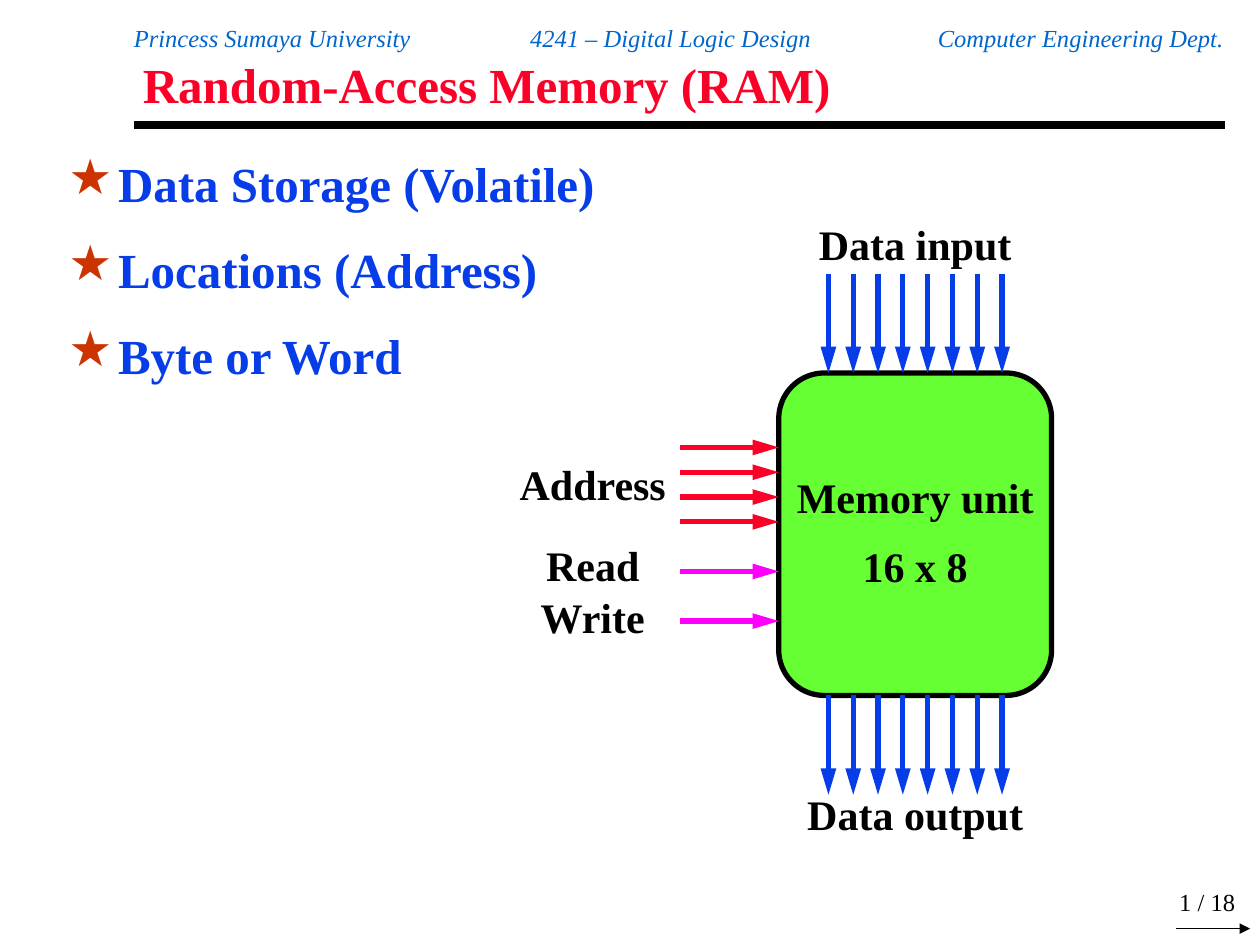
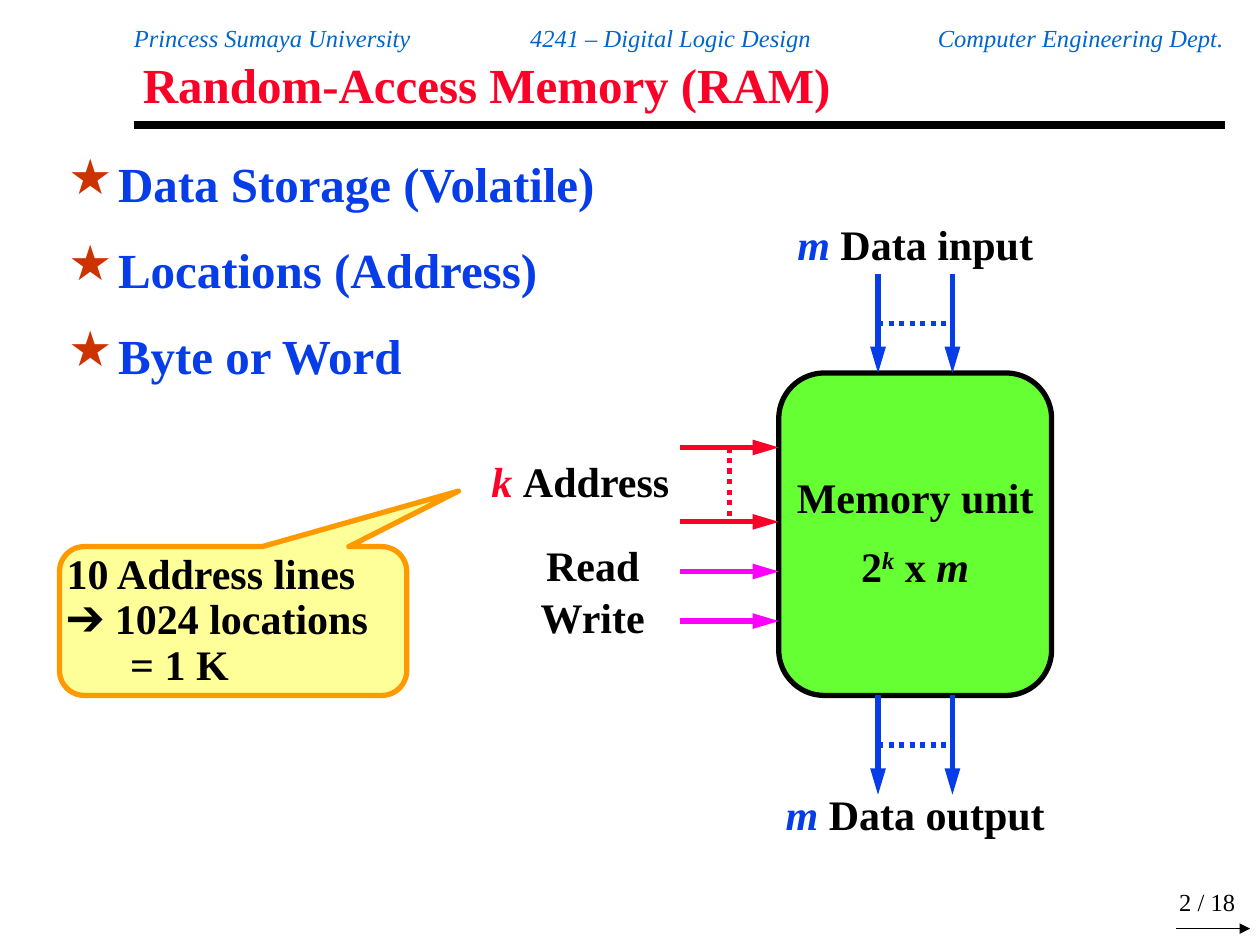
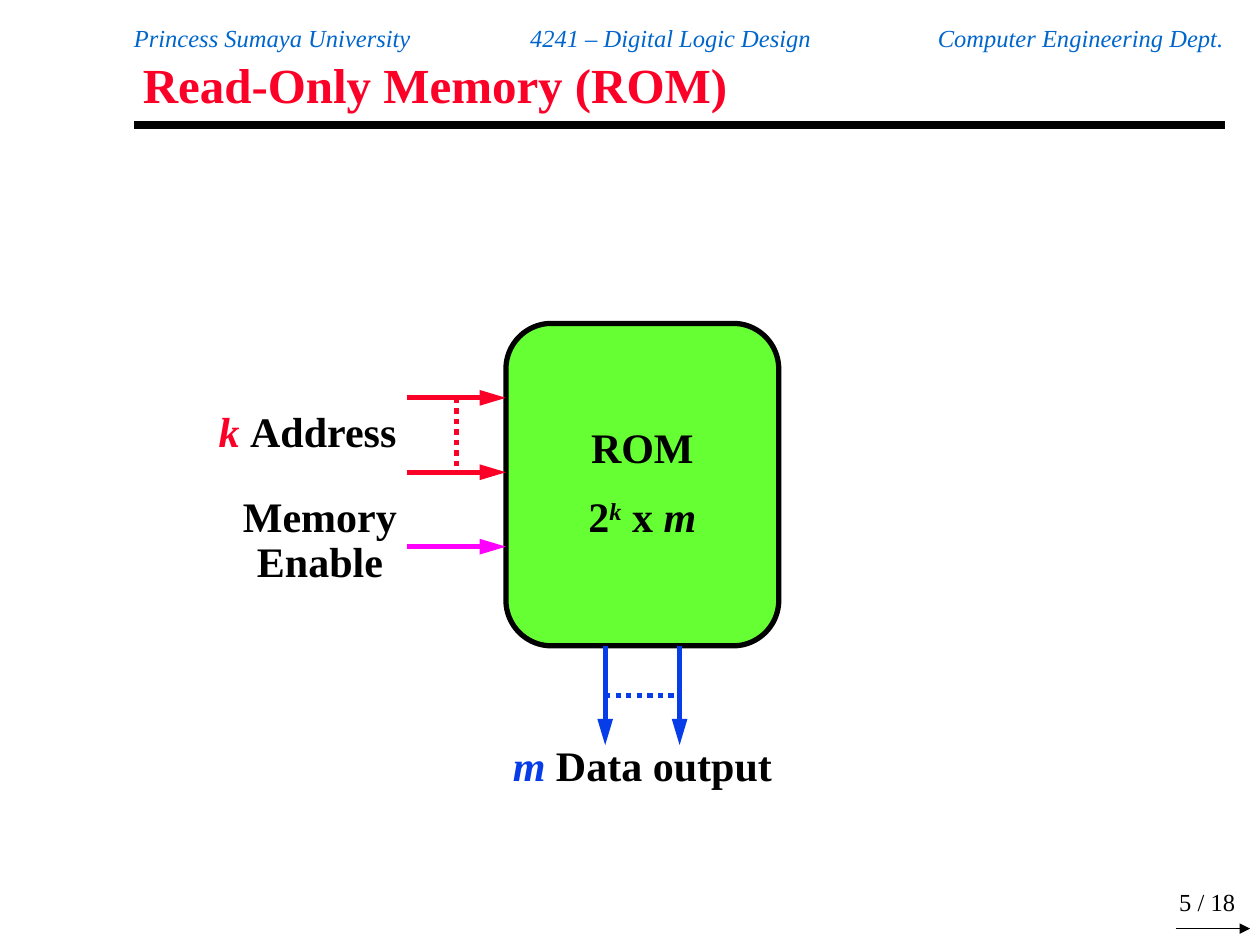
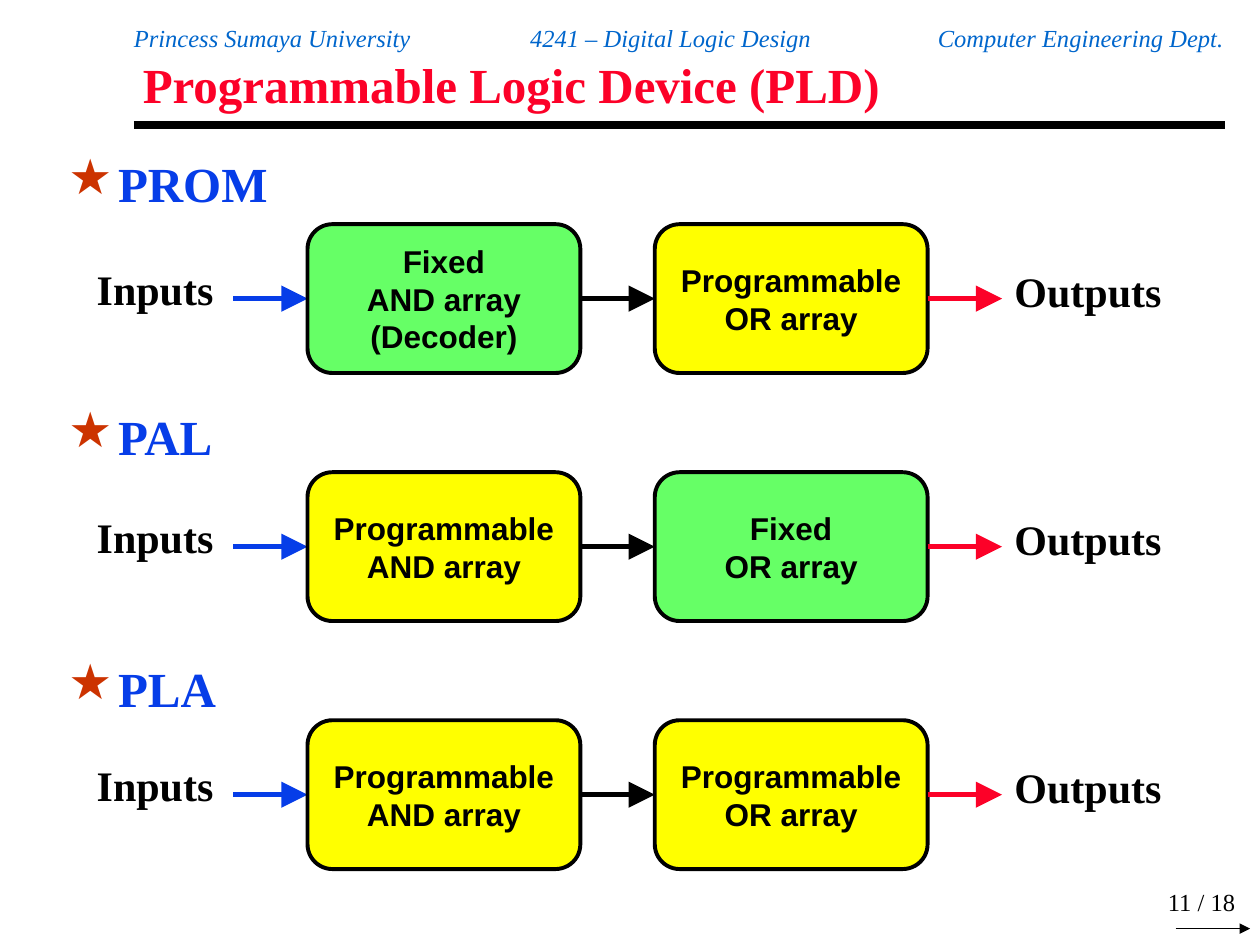
from lxml import etree
from pptx import Presentation
from pptx.dml.color import RGBColor
from pptx.enum.dml import MSO_LINE
from pptx.enum.shapes import MSO_CONNECTOR, MSO_SHAPE
from pptx.enum.text import MSO_ANCHOR, PP_ALIGN
from pptx.oxml.ns import qn
from pptx.util import Cm, Pt

BLACK, RED, BLUE, MAGENTA = "000000", "FC0128", "063DE8", "FF00FF"
HEADER_BLUE, STAR_RED = "0066CC", "CC3300"
UNIT_GREEN, FIXED_GREEN, YELLOW = "66FF33", "66FF66", "FFFF00"
NOTE_FILL, NOTE_LINE = "FFFF99", "FF9900"
SERIF, SANS = "Times New Roman", "Arial"
TOTAL = 18
LEAD = 2
STEP = 0.5
CAPACITY = [("2", {}), ("k", {"italic": True, "raised": True}), (" x ", {}), ("m", {"italic": True})]


def rgb(value):
    """Return the colour for a hex string."""
    return RGBColor.from_string(value)


def symbol(text, color, rest):
    """Return runs of an italic coloured symbol followed by plain text."""
    return [(text, {"italic": True, "color": color}), (rest, {})]


def write(frame, paragraphs, size=24, color=BLACK, font=SERIF, bold=True, italic=False,
          align=PP_ALIGN.CENTER, spacing=0.9, gap=0, insets=(0, 0), anchor=MSO_ANCHOR.TOP):
    """Fill a text frame with paragraphs, each a string or a list of styled runs."""
    frame.word_wrap = True
    frame.vertical_anchor = anchor
    frame.margin_left = frame.margin_right = Cm(insets[0])
    frame.margin_top = frame.margin_bottom = Cm(insets[1])
    for index, content in enumerate(paragraphs):
        paragraph = frame.add_paragraph() if index else frame.paragraphs[0]
        paragraph.alignment = align
        paragraph.line_spacing = spacing
        paragraph.space_before = Pt(gap if index else 0)
        for text, style in [(content, {})] if isinstance(content, str) else content:
            run = paragraph.add_run()
            run.text = text
            run.font.name, run.font.size, run.font.bold = font, Pt(size), bold
            run.font.italic = style.get("italic", italic)
            run.font.color.rgb = rgb(style.get("color", color))
            if style.get("raised"):
                run._r.get_or_add_rPr().set("baseline", "30000")


def add_text(shapes, box, paragraphs, **style):
    """Add a text box at box (left, top, width, height)."""
    frame = shapes.add_textbox(*map(Cm, box)).text_frame
    write(frame, paragraphs, **style)
    return frame


def add_block(shapes, box, fill, line=BLACK, weight=3, kind=MSO_SHAPE.ROUNDED_RECTANGLE,
              adjustments=(0.167,)):
    """Add an outlined, filled shape."""
    block = shapes.add_shape(kind, *map(Cm, box))
    block.shadow.inherit = False
    block.fill.solid()
    block.fill.fore_color.rgb = rgb(fill)
    block.line.color.rgb = rgb(line)
    block.line.width = Pt(weight)
    for index, value in enumerate(adjustments):
        block.adjustments[index] = value
    return block


def add_line(shapes, start, end, color=BLACK, weight=3, head=None, dotted=False):
    """Add a straight line; head gives the arrowhead's width and length."""
    line = shapes.add_connector(MSO_CONNECTOR.STRAIGHT, *map(Cm, (*start, *end)))
    line.line.color.rgb = rgb(color)
    line.line.width = Pt(weight)
    if dotted:
        line.line.dash_style = MSO_LINE.ROUND_DOT
    if head:
        etree.SubElement(line.line._get_or_add_ln(), qn("a:tailEnd"),
                         type="triangle", w=head[0], len=head[1])
    etree.SubElement(line._element.spPr, qn("a:effectLst"))


def add_frame(deck, title, number):
    """Add a slide with the course header, title, rule and page mark."""
    shapes = deck.slides.add_slide(deck.slide_layouts[6]).shapes
    left, width = 2.7, 22
    add_line(shapes, (left, 2.52), (left + width, 2.52), weight=4.5)
    header = add_text(
        shapes, (left, 0.53, width, 0.54),
        ["Princess Sumaya University\t4241 – Digital Logic Design\tComputer Engineering Dept."],
        size=14, color=HEADER_BLUE, bold=False, italic=True, align=PP_ALIGN.LEFT)
    tabs = etree.SubElement(header.paragraphs[0]._p.get_or_add_pPr(), qn("a:tabLst"))
    for position, kind in ((10.82, "ctr"), (21.97, "r")):
        etree.SubElement(tabs, qn("a:tab"), pos=str(Cm(position)), algn=kind)
    add_text(shapes, (left, 1.19, width, 1.17), [title], size=28, color=RED,
             align=PP_ALIGN.LEFT, spacing=0.87, insets=(0.18, 0.08))
    add_text(shapes, (21.82, 17.8, 3.33, 0.81), [f"{number} / {TOTAL}"], size=14, bold=False,
             align=PP_ALIGN.RIGHT, spacing=1, insets=(0.25, 0.13), anchor=MSO_ANCHOR.BOTTOM)
    add_line(shapes, (23.7, 18.72), (25.2, 18.72), weight=0.75, head=("med", "med"))
    return shapes


def add_star_list(shapes, box, items, gap=15.5):
    """Add the starred list of topics."""
    frame = add_text(shapes, box, items, size=28, color=BLUE, align=PP_ALIGN.LEFT,
                     spacing=1, gap=gap, insets=(0.18, 0.08))
    for paragraph in frame.paragraphs:
        properties = paragraph._p.get_or_add_pPr()
        properties.set("marL", str(Cm(1)))
        properties.set("indent", str(Cm(-1)))
        color = etree.SubElement(properties, qn("a:buClr"))
        etree.SubElement(color, qn("a:srgbClr"), val=STAR_RED)
        etree.SubElement(properties, qn("a:buChar"), char="★")


def add_bus(shapes, start, count, gap, color, down=False, dotted=False):
    """Add parallel arrows running right or down, with an optional dotted link."""
    x, y = start
    dx, dy = (0, LEAD) if down else (LEAD, 0)
    across, along = (gap, 0) if down else (0, gap)
    for index in range(count):
        tail = x + index * across, y + index * along
        add_line(shapes, tail, (tail[0] + dx, tail[1] + dy), color, head=("med", "lg"))
    if dotted:
        middle = x + dx / 2, y + dy / 2
        add_line(shapes, middle, (middle[0] + across, middle[1] + along), color, dotted=True)


def add_memory(shapes, box, lines, address, controls, wide_bus=False, data_input=True):
    """Add a memory unit with its data, address and control lines around box."""
    left, top, width, height = box
    unit = add_block(shapes, box, UNIT_GREEN)
    write(unit.text_frame, lines, gap=13.5, anchor=MSO_ANCHOR.MIDDLE)
    data_lines = (8, STEP) if wide_bus else (2, 3 * STEP)
    address_lines = (4, STEP) if wide_bus else (2, 3 * STEP)
    first = left + (1 if wide_bus else 2)
    ports = [("Data output", top + height, top + height + LEAD)]
    if data_input:
        ports.append(("Data input", top - LEAD, top - LEAD - 1))
    inset = 0.5 if wide_bus else 0
    for name, arrow_top, label_top in ports:
        add_bus(shapes, (first, arrow_top), *data_lines, BLUE, down=True, dotted=not wide_bus)
        label = name if wide_bus else symbol("m", BLUE, " " + name)
        add_text(shapes, (left + inset, label_top, width - 2 * inset, 0.91), [label])
    add_bus(shapes, (left - LEAD, top + 1.5), *address_lines, RED, dotted=not wide_bus)
    label_width = 3.5 if wide_bus else 4
    add_text(shapes, (left - LEAD - label_width, top + (1.83 if wide_bus else 1.77),
                      label_width, 0.91), [address])
    for name, arrow, label_top, label_height in controls:
        add_bus(shapes, (left - LEAD, top + arrow), 1, 0, MAGENTA)
        add_text(shapes, (left - LEAD - 3.5, top + label_top, 3.5, label_height), [name])


def add_callout(shapes, box, lines, indent):
    """Add the speech note, its last line indented."""
    note = add_block(shapes, box, NOTE_FILL, NOTE_LINE,
                     kind=MSO_SHAPE.ROUNDED_RECTANGULAR_CALLOUT,
                     adjustments=(0.649, -0.873, 0.167))
    write(note.text_frame, lines, align=PP_ALIGN.LEFT, anchor=MSO_ANCHOR.MIDDLE)
    note.text_frame.paragraphs[-1]._p.get_or_add_pPr().set("marL", str(Cm(indent)))


def add_logic_row(shapes, box, stages):
    """Add a grouped chain from inputs through two arrays to outputs."""
    left, top, width, height = box
    row = shapes.add_group_shape().shapes
    stage_width, arrow, label_width = 5.5, 1.5, 3
    x, middle = left + label_width, top + height / 2
    label = {"align": PP_ALIGN.LEFT, "spacing": 0.87, "insets": (0.25, 0.13)}
    add_text(row, (left, top + 0.8, label_width, 1.15), ["Inputs"], **label)
    for lines, color in zip(stages, (BLUE, BLACK)):
        add_line(row, (x, middle), (x + arrow, middle), color, head=("lg", "lg"))
        x += arrow
        fill = FIXED_GREEN if lines[0] == "Fixed" else YELLOW
        stage = add_block(row, (x, top, stage_width, height), fill, weight=2.25)
        write(stage.text_frame, lines, size=18, font=SANS, spacing=1,
              insets=(0.25, 0.13), anchor=MSO_ANCHOR.MIDDLE)
        x += stage_width
    add_line(row, (x, middle), (x + arrow, middle), RED, head=("lg", "lg"))
    x += arrow
    add_text(row, (x, top + 0.85, left + width - x, 1.15), ["Outputs"], **label)


def build():
    """Build and save the four slides."""
    deck = Presentation()
    deck.slide_width, deck.slide_height = Cm(25.4), Cm(19.05)
    topics = ["Data Storage (Volatile)", "Locations (Address)", "Byte or Word"]
    ram_box, list_box = (15.7, 7.52, 5.5, 6.5), (1.2, 3.02, 23, 4.9)
    ram_controls = [("Read", 4, 3.48, 0.91), ("Write", 5, 4.52, 0.91)]
    k_address = symbol("k ", RED, "Address")

    shapes = add_frame(deck, "Random-Access Memory (RAM)", 1)
    add_star_list(shapes, list_box, topics)
    add_memory(shapes, ram_box, ["Memory unit", "16 x 8"], "Address", ram_controls, wide_bus=True)

    shapes = add_frame(deck, "Random-Access Memory (RAM)", 2)
    add_star_list(shapes, list_box, topics)
    add_memory(shapes, ram_box, ["Memory unit", CAPACITY], k_address, ram_controls)
    add_callout(shapes, (1.2, 11.02, 7, 3),
                ["10 Address lines", "➔ 1024 locations", "= 1 K"], indent=1.28)

    shapes = add_frame(deck, "Read-Only Memory (ROM)", 5)
    add_memory(shapes, (10.2, 6.52, 5.5, 6.5), ["ROM", CAPACITY], k_address,
               [("Memory Enable", 4.5, 3.48, 1.83)], data_input=False)

    shapes = add_frame(deck, "Programmable Logic Device (PLD)", 11)
    add_star_list(shapes, (1.2, 3.02, 23, 12), ["PROM", "PAL", "PLA"], gap=110.7)
    program_and, program_or = ["Programmable", "AND array"], ["Programmable", "OR array"]
    devices = [(["Fixed", "AND array", "(Decoder)"], program_or),
               (program_and, ["Fixed", "OR array"]),
               (program_and, program_or)]
    for index, stages in enumerate(devices):
        add_logic_row(shapes, (1.7, 4.52 + 5 * index, 22.6, 3), stages)

    deck.save("out.pptx")


build()
